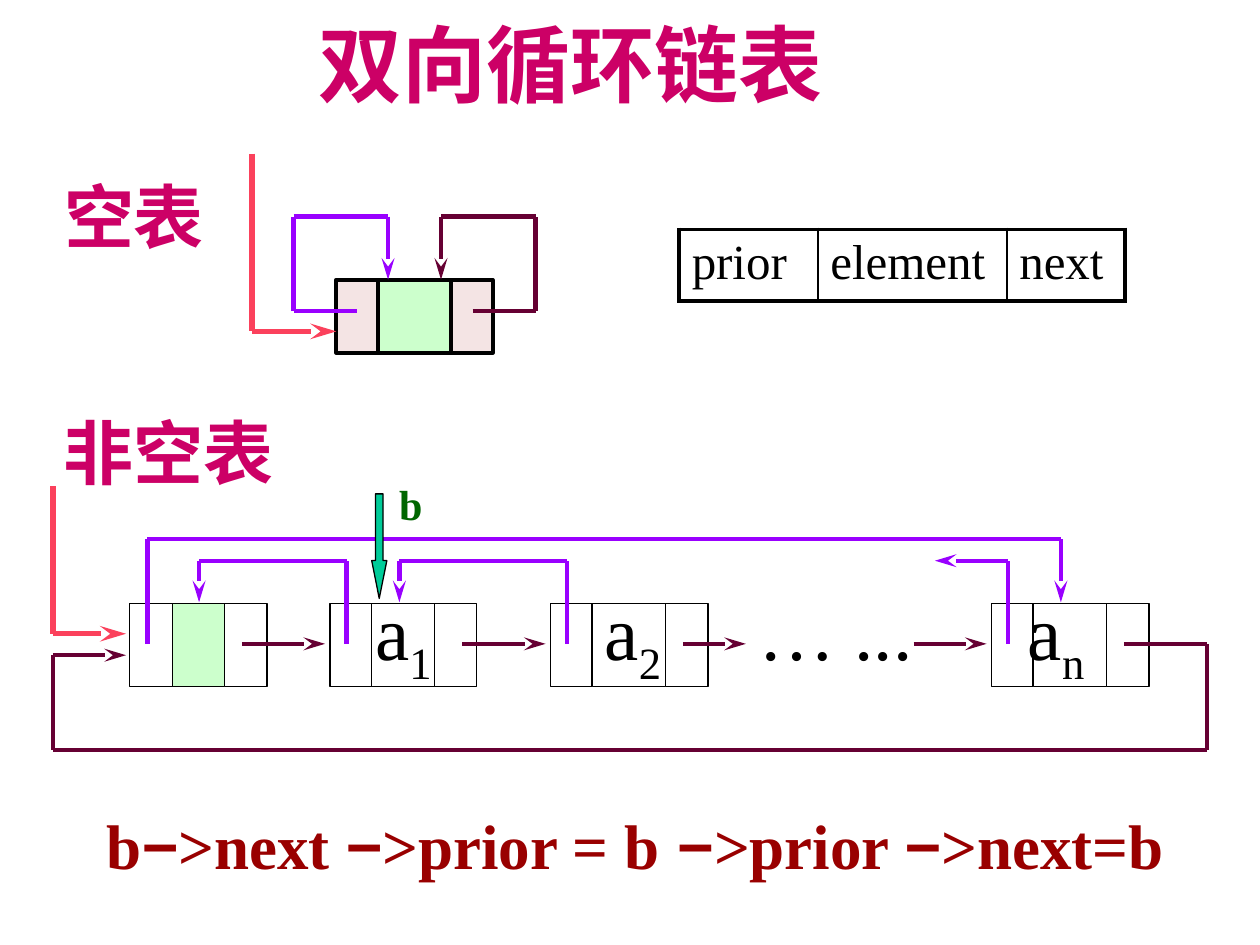
from itertools import pairwise
from lxml import etree
from pptx import Presentation
from pptx.dml.color import RGBColor
from pptx.enum.shapes import MSO_CONNECTOR, MSO_SHAPE
from pptx.enum.text import MSO_ANCHOR, PP_ALIGN
from pptx.oxml.ns import qn
from pptx.util import Inches, Pt

LINE = MSO_CONNECTOR.STRAIGHT
RECT, ARROW = MSO_SHAPE.RECTANGLE, MSO_SHAPE.DOWN_ARROW
TOP, LEFT = MSO_ANCHOR.TOP, PP_ALIGN.LEFT
PINK, RED, VIOLET, WINE = "CC0066", "FB415C", "9900FF", "660033"
BLACK, WHITE, MINT, ROSE = "000000", "FFFFFF", "CCFFCC", "F4E4E4"
rgb = RGBColor.from_string

prs = Presentation()
prs.slide_width, prs.slide_height = Inches(10), Inches(7.5)
slide = prs.slides.add_slide(prs.slide_layouts[5])
shapes = slide.shapes


def write(box, parts, size, color, bold=False):
    """Fill a shape with one line made of (text, font, baseline) parts."""
    frame = box.text_frame
    frame.word_wrap = False
    frame.vertical_anchor = TOP
    para = frame.paragraphs[0]
    para.alignment = LEFT
    for text, face, base in parts:
        run = para.add_run()
        run.text = text
        font = run.font
        font.name, font.size, font.bold = face, Pt(size), bold
        font.color.rgb = rgb(color)
        if base:
            font._element.set("baseline", str(base))


def block(kind, x, y, w, h, fill, width):
    """Draw a filled shape with a black outline."""
    shape = shapes.add_shape(kind, Inches(x), Inches(y), Inches(w), Inches(h))
    shape.shadow.inherit = False
    shape.fill.solid()
    shape.fill.fore_color.rgb = rgb(fill)
    shape.line.color.rgb = rgb(BLACK)
    shape.line.width = Pt(width)
    return shape


# Title
serif = "Times New Roman"
title = shapes.title
title.left, title.top = Inches(2.43), Inches(0.05)
title.width, title.height = Inches(4.22), Inches(0.9)
write(title, [("双向循环链表", serif, 0)], 48, PINK, True)

# Nodes of the full list: x of the cell edges
nodes = [
    (1.03, 1.37, 1.78, 2.12),
    (2.62, 2.95, 3.45, 3.78),
    (4.37, 4.7, 5.28, 5.62),
    (7.87, 8.2, 8.78, 9.12),
]
for num, edges in enumerate(nodes):
    for col, (x, end) in enumerate(pairwise(edges)):
        fill = MINT if (num, col) == (0, 1) else WHITE
        block(RECT, x, 4.79, end - x, 0.66, fill, 0.75)

# Node of the empty list
for (x, end), fill in zip(pairwise((2.67, 3, 3.58, 3.91)), (ROSE, MINT, ROSE)):
    block(RECT, x, 2.22, end - x, 0.58, fill, 2.25)

# Headings and labels
minus = ("−", "Arial", 0)
formula = [
    ("b", serif, 0), minus, (">next ", serif, 0), minus,
    (">prior = b", serif, 0), (" −", "Arial", 0), (">prior ", serif, 0),
    minus, (">next=b", serif, 0),
]
labels = [
    (0.41, 1.33, 1.32, 0.77, [("空表", serif, 0)], 40, PINK, True),
    (0.41, 3.2, 1.87, 0.77, [("非空表", serif, 0)], 40, PINK, True),
    (5.92, 4.58, 1.8, 0.8, [("… ...", serif, 0)], 44, BLACK, False),
    (3.07, 3.75, 0.47, 0.5, [("b", serif, 0)], 24, "006600", True),
    (0.75, 6.35, 8.66, 0.7, formula, 36, "990000", True),
]
for x, sub in ((2.88, "1"), (4.7, "2"), (8.06, "n")):
    parts = [("a", serif, 0), (sub, serif, -25000)]
    labels.append((x, 4.58, 0.8, 0.8, parts, 44, BLACK, False))
for x, y, w, h, *text in labels:
    write(shapes.add_textbox(Inches(x), Inches(y), Inches(w), Inches(h)), *text)

# Links: colour, width, corner points, with an arrowhead at the last one
mid, low = 5.11, 5.95
links = [
    (VIOLET, 2.5, [(8, mid), (8, 4.45), (7.42, 4.45)]),
    (VIOLET, 2.5, [(4.5, mid), (4.5, 4.45), (3.17, 4.45), (3.17, 4.78)]),
    (VIOLET, 2.5, [(2.75, mid), (2.75, 4.45), (1.58, 4.45), (1.58, 4.78)]),
    (VIOLET, 2.5, [(1.17, mid), (1.17, 4.28), (8.42, 4.28), (8.42, 4.78)]),
    (WINE, 2.5, [(1.92, mid), (2.58, mid)]),
    (WINE, 2.5, [(3.67, mid), (4.33, mid)]),
    (WINE, 2.5, [(5.42, mid), (5.92, mid)]),
    (WINE, 2.5, [(7.25, mid), (7.83, mid)]),
    (WINE, 2.5, [(8.92, mid), (9.58, mid), (9.58, low), (0.42, low),
                 (0.42, 5.2), (1, 5.2)]),
    (RED, 3, [(0.42, 3.86), (0.42, 5.03), (1, 5.03)]),
    (WINE, 2.5, [(3.75, 2.47), (4.25, 2.47), (4.25, 1.72), (3.5, 1.72),
                 (3.5, 2.22)]),
    (VIOLET, 2.5, [(2.83, 2.47), (2.33, 2.47), (2.33, 1.72), (3.08, 1.72),
                   (3.08, 2.22)]),
    (RED, 3, [(2, 1.22), (2, 2.63), (2.67, 2.63)]),
]
for color, width, points in links:
    for start, end in pairwise(points):
        line = shapes.add_connector(LINE, *map(Inches, start + end))
        line.line.color.rgb = rgb(color)
        line.line.width = Pt(width)
        props = line._element.spPr
        if end == points[-1]:
            stroke = props.find(qn("a:ln"))
            etree.SubElement(stroke, qn("a:tailEnd"), type="stealth", w="med", len="lg")
        etree.SubElement(props, qn("a:effectLst"))

# Table of the node fields
words, widths = ("prior", "element", "next"), (1.1, 1.5, 0.94)
table = shapes.add_table(1, 3, Inches(5.39), Inches(1.82), Inches(3.54), Inches(0.57)).table
table.first_row = table.horz_banding = False
for col, (word, width) in enumerate(zip(words, widths)):
    table.columns[col].width = Inches(width)
    cell = table.cell(0, col)
    cell.text_frame.text = word
    font = cell.text_frame.paragraphs[0].runs[0].font
    font.name, font.size, font.color.rgb = serif, Pt(28), rgb(BLACK)
    props = cell._tc.get_or_add_tcPr()
    sides = {"L": 1 if col else 2.25, "R": 2.25 if col == 2 else 1, "T": 2.25, "B": 2.25}
    for side, thick in sides.items():
        edge = etree.SubElement(props, qn(f"a:ln{side}"), w=str(Pt(thick)))
        paint = etree.SubElement(edge, qn("a:solidFill"))
        etree.SubElement(paint, qn("a:srgbClr"), val=BLACK)
    cell.fill.background()

# Pointer to node b
arrow = block(ARROW, 2.95, 3.92, 0.12, 0.83, "00CC99", 0.75)
arrow.adjustments[0], arrow.adjustments[1] = 0.5, 2.5

prs.save("out.pptx")
